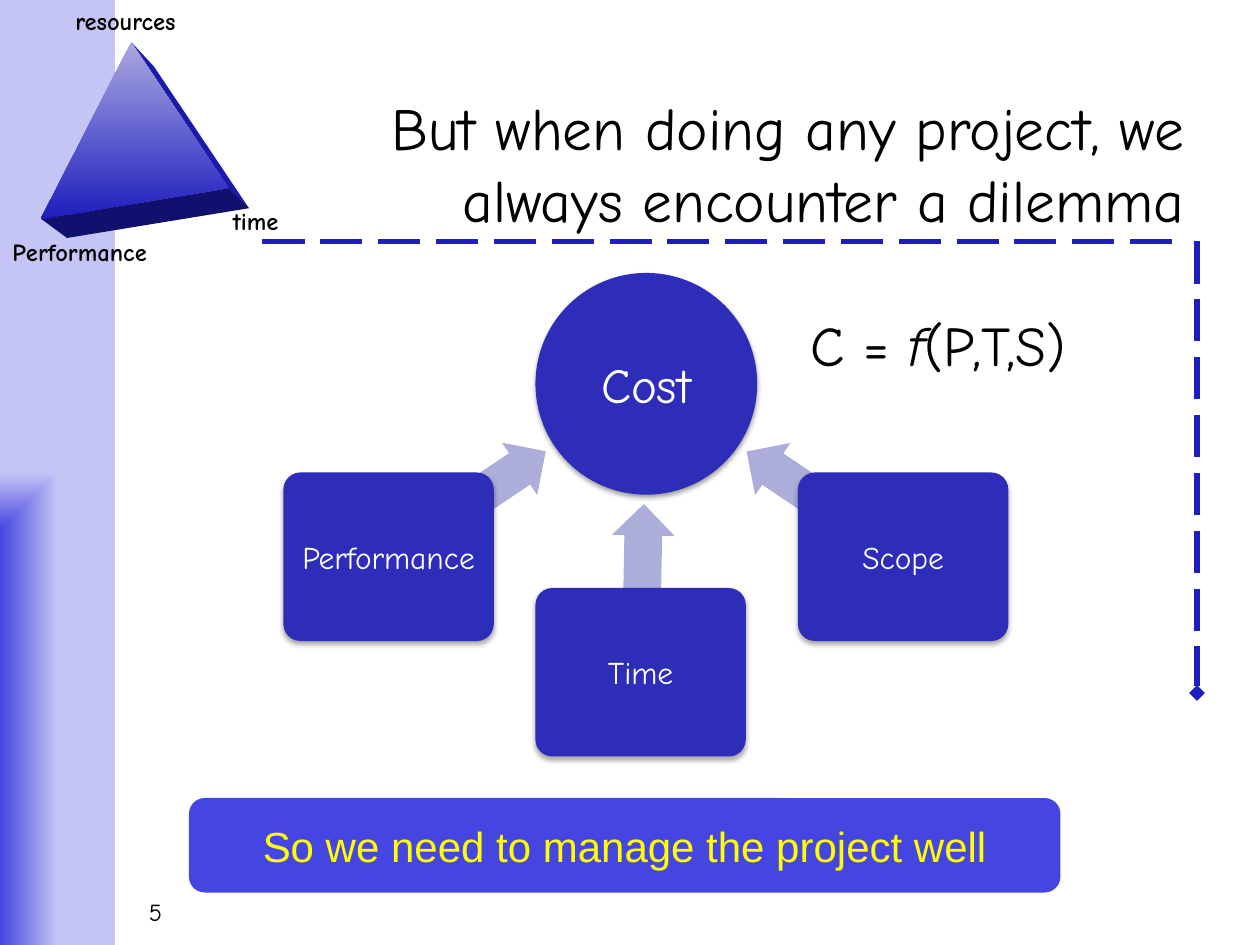
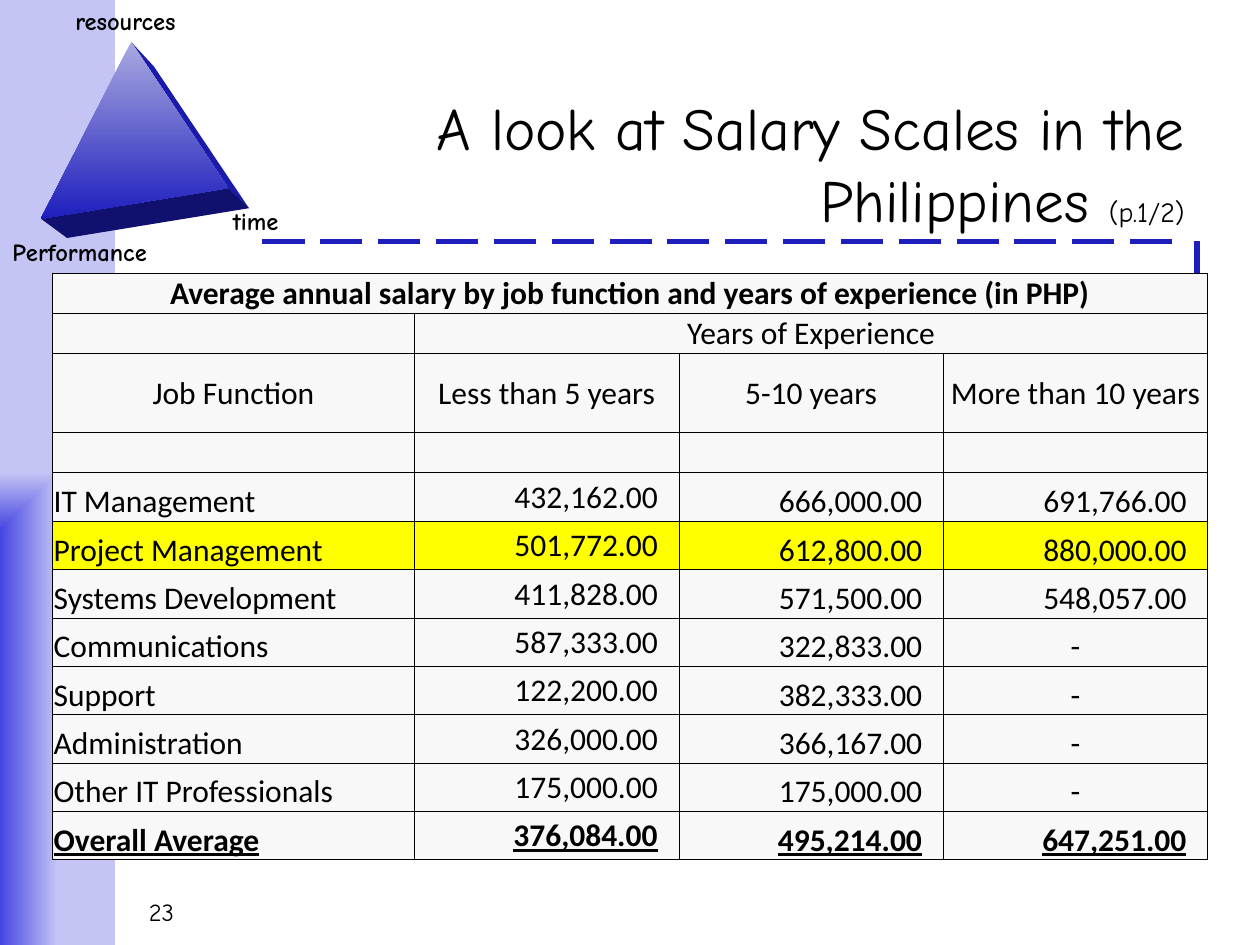
import lxml.etree
import pptx
import pptx.dml.color
import pptx.enum.dml
import pptx.enum.shapes
import pptx.enum.text
import pptx.oxml
import pptx.oxml.ns
import pptx.util

Pt = pptx.util.Pt
RGB = pptx.dml.color.RGBColor.from_string
MSO = pptx.enum.shapes.MSO_SHAPE
ALIGN = pptx.enum.text.PP_ALIGN
ANCHOR = pptx.enum.text.MSO_ANCHOR
qn = pptx.oxml.ns.qn
NS = 'xmlns:a="http://schemas.openxmlformats.org/drawingml/2006/main"'


class Theme:
    black, white, yellow = "000000", "FFFFFF", "FFFF00"
    blue, deep_blue, banner = "1E1EBE", "2D2DB9", "4545E1"
    band_light, arrow, cell = "C4C4F5", "ADADD9", "F8F8F8"
    peak, edge, base = "A9A9E0", "1A1AAC", "10106E"
    font, table_font, banner_font = "Comic Neue", "Calibri", "Arial"
    title, formula, hub, banner_size = 34, 32, 28, 24
    body, note, small = 18, 16, 14


def paint(sp, color, shadow=None):
    """Plain fill without outline; shadow is (opacity %, distance in points)."""
    sp.shadow.inherit = False
    sp.line.fill.background()
    sp.fill.solid()
    sp.fill.fore_color.rgb = RGB(color)
    if shadow:
        opacity, distance = shadow
        sp._element.spPr.find(qn("a:effectLst")).append(pptx.oxml.parse_xml(
            f'<a:outerShdw {NS} blurRad="{Pt(3.1)}" dist="{Pt(distance)}" dir="5400000" '
            f'rotWithShape="0"><a:srgbClr val="000000"><a:alpha val="{opacity * 1000}"/>'
            f'</a:srgbClr></a:outerShdw>'))


def write(tf, runs, size, align=ALIGN.LEFT, color=Theme.black, font=Theme.font, wrap=True):
    """Fill one paragraph; each run is (text, font settings)."""
    tf.word_wrap = wrap
    p = tf.paragraphs[0]
    p.alignment = align
    for text, settings in runs:
        r = p.add_run()
        r.text = text
        r.font.name, r.font.size = font, Pt(size)
        r.font.color.rgb = RGB(color)
        for name, value in settings.items():
            setattr(r.font, name, value)
    return p


prs = pptx.Presentation()
prs.slide_width, prs.slide_height = Pt(720), Pt(540)

titles = [
    ("5", [("But when doing any project, we always encounter a dilemma", {})]),
    ("23", [("A look at Salary Scales in the Philippines ", {}),
            ("(p.1/2)", {"size": Pt(Theme.note)})]),
]
apex, ridge, right, inner, left, bottom = (
    (75, 24), (88, 38), (142.3, 119), (130.5, 107.5), (23.4, 125), (38.3, 136))
pyramid_faces = [
    ((apex, ridge, right, inner), Theme.edge),
    ((left, inner, right, bottom), Theme.base),
    ((apex, inner, left), Theme.blue),
]
corner_labels = [("resources", 36, 0, 79), ("Performance", 0, 132, 99), ("time", 126, 114, 44)]

# Shared frame: band, pyramid, dashed rules, title, page number
for number, title in titles:
    s = prs.slides.add_slide(prs.slide_layouts[6])

    # Side band, darkest in the bottom left corner
    band = s.shapes.add_shape(MSO.RECTANGLE, 0, 0, Pt(66), Pt(540))
    paint(band, Theme.banner)
    band.fill.gradient()
    for stop, color in zip(band.fill.gradient_stops, (Theme.banner, Theme.band_light)):
        stop.color.rgb = RGB(color)
    grad = band._element.spPr.find(qn("a:gradFill"))
    grad.replace(grad.find(qn("a:lin")), pptx.oxml.parse_xml(
        f'<a:path {NS} path="rect"><a:fillToRect t="100000" r="100000"/></a:path>'))

    # Pyramid
    for points, color in pyramid_faces:
        start, *rest = [(Pt(x), Pt(y)) for x, y in points]
        builder = s.shapes.build_freeform(*start)
        builder.add_line_segments(rest)
        face = builder.convert_to_shape()
        paint(face, color)
    face.fill.gradient()
    face.fill.gradient_angle = 270
    for stop, color in zip(face.fill.gradient_stops, (Theme.peak, Theme.blue)):
        stop.color.rgb = RGB(color)
    for text, x, y, w in corner_labels:
        tb = s.shapes.add_textbox(Pt(x), Pt(y), Pt(w), Pt(24))
        write(tb.text_frame, [(text, {"bold": True})], Theme.small, wrap=False)

    # Dashed rules
    for x1, y1, x2, y2 in ((150, 138, 678, 138), (684, 138, 684, 396)):
        rule = s.shapes.add_connector(pptx.enum.shapes.MSO_CONNECTOR.STRAIGHT,
                                      Pt(x1), Pt(y1), Pt(x2), Pt(y2))
        rule.line.color.rgb = RGB(Theme.blue)
        rule.line.width = Pt(3)
        rule.line.dash_style = pptx.enum.dml.MSO_LINE.LONG_DASH
        if x1 == x2:
            lxml.etree.SubElement(rule.line._get_or_add_ln(), qn("a:tailEnd"), type="diamond")
        lxml.etree.SubElement(rule._element.spPr, qn("a:effectLst"))

    # Title and page number
    tb = s.shapes.add_textbox(Pt(150), Pt(48), Pt(534), Pt(90))
    tb.text_frame.vertical_anchor = ANCHOR.MIDDLE
    write(tb.text_frame, title, Theme.title, ALIGN.RIGHT)
    tb = s.shapes.add_textbox(Pt(78), Pt(509), Pt(462), Pt(24))
    write(tb.text_frame, [(number, {})], Theme.small)

dilemma, salaries = prs.slides

# Dilemma: formula and banner
tb = dilemma.shapes.add_textbox(Pt(456), Pt(174), Pt(189), Pt(46))
write(tb.text_frame, [("C = ", {}), ("f", {"italic": True}), ("(P,T,S)", {})],
      Theme.formula, wrap=False)
sp = dilemma.shapes.add_shape(MSO.ROUNDED_RECTANGLE, Pt(108), Pt(456), Pt(498), Pt(54))
paint(sp, Theme.banner)
write(sp.text_frame, [("So we need to manage the project well", {})], Theme.banner_size,
      ALIGN.CENTER, Theme.yellow, Theme.banner_font, wrap=False)

# Dilemma: cost hub
hub = dilemma.shapes.add_shape(MSO.OVAL, Pt(306), Pt(156), Pt(126.7), Pt(126.7))
paint(hub, Theme.deep_blue, (38, 1.6))
write(hub.text_frame, [("Cost", {})], Theme.hub, ALIGN.CENTER, Theme.white)

# Dilemma: factors, each with an arrow to the hub (left, top, width, rotation)
factors = [
    ("Performance", 162, 270, (213, 270, 108, 146.1)),
    ("Time", 306, 336, (319, 318, 96, 91.1)),
    ("Scope", 456, 270, (417.5, 270, 107.5, 33.9)),
]
for name, x, y, (ax, ay, aw, rotation) in factors:
    arrow = dilemma.shapes.add_shape(MSO.LEFT_ARROW, Pt(ax), Pt(ay), Pt(aw), Pt(36))
    arrow.adjustments[0], arrow.adjustments[1] = 0.6, 0.5
    arrow.rotation = rotation
    paint(arrow, Theme.arrow)
    sp = dilemma.shapes.add_shape(MSO.ROUNDED_RECTANGLE, Pt(x), Pt(y), Pt(120.2), Pt(96.3))
    sp.adjustments[0] = 0.1
    paint(sp, Theme.deep_blue, (35, 1.8))
    tf = sp.text_frame
    tf.margin_left = tf.margin_right = Pt(3)
    write(tf, [(name, {})], Theme.body, ALIGN.CENTER, Theme.white)

# Salaries: table contents
rows = [
    ["Average annual salary by job function and years of experience (in PHP)", "", "", ""],
    ["", "Years of Experience", "", ""],
    ["Job Function", "Less than 5 years", "5-10 years", "More than 10 years"],
    ["", "", "", ""],
    ["IT Management", "432,162.00", "666,000.00", "691,766.00"],
    ["Project Management", "501,772.00", "612,800.00", "880,000.00"],
    ["Systems Development", "411,828.00", "571,500.00", "548,057.00"],
    ["Communications", "587,333.00", "322,833.00", "-"],
    ["Support", "122,200.00", "382,333.00", "-"],
    ["Administration", "326,000.00", "366,167.00", "-"],
    ["Other IT Professionals", "175,000.00", "175,000.00", "-"],
    ["Overall Average", "376,084.00", "495,214.00", "647,251.00"],
]
heading_row, first_data, highlight, total = 2, 4, 5, len(rows) - 1
heights = [22.9, 22.9, 45.6, 22.9] + [27.65] * (len(rows) - first_data)
widths = [206.9] + [151.1] * 3

# Salaries: table
table = salaries.shapes.add_table(len(rows), 4, Pt(30), Pt(156),
                                  Pt(sum(widths)), Pt(sum(heights))).table
table.first_row = table.horz_banding = False
for column, w in zip(table.columns, widths):
    column.width = Pt(w)
for row, h in zip(table.rows, heights):
    row.height = Pt(h)
table.cell(0, 0).merge(table.cell(0, 3))
table.cell(1, 1).merge(table.cell(1, 3))

for i, row in enumerate(rows):
    for j, text in enumerate(row):
        cell = table.cell(i, j)
        cell.margin_left = cell.margin_right = cell.margin_top = Pt(0.7)
        cell.margin_bottom = 0
        middle = i == heading_row or (i >= first_data and j == 1)
        cell.vertical_anchor = ANCHOR.MIDDLE if middle else ANCHOR.BOTTOM

        # Borders come before the fill in the cell properties
        tc_pr = cell._tc.get_or_add_tcPr()
        for side in ("lnL", "lnR", "lnT", "lnB"):
            tc_pr.append(pptx.oxml.parse_xml(
                f'<a:{side} {NS} w="{Pt(0.5)}"><a:solidFill><a:srgbClr val="{Theme.black}"/>'
                f'</a:solidFill></a:{side}>'))
        cell.fill.solid()
        cell.fill.fore_color.rgb = RGB(Theme.yellow if i == highlight else Theme.cell)
        if not text:
            cell.text_frame.paragraphs[0].font.size = Pt(Theme.body)
            continue

        align = ALIGN.CENTER
        if i >= first_data and j == 0:
            align = ALIGN.LEFT
        elif i >= first_data and text != "-":
            align = ALIGN.RIGHT
            cell.margin_right = Pt(12)
        settings = {"bold": i in (0, total), "underline": i == total}
        if i == total and j > 0:
            # An underlined tab carries the total rule across the column
            align = ALIGN.LEFT
            cell.margin_left, cell.margin_right = Pt(8), Pt(8)
            p_pr = cell.text_frame.paragraphs[0]._p.get_or_add_pPr()
            tabs = lxml.etree.SubElement(p_pr, qn("a:tabLst"))
            lxml.etree.SubElement(tabs, qn("a:tab"), pos=str(Pt(131)), algn="r")
            text = "\t" + text
        write(cell.text_frame, [(text, settings)], Theme.body, align, font=Theme.table_font)

prs.save("out.pptx")
